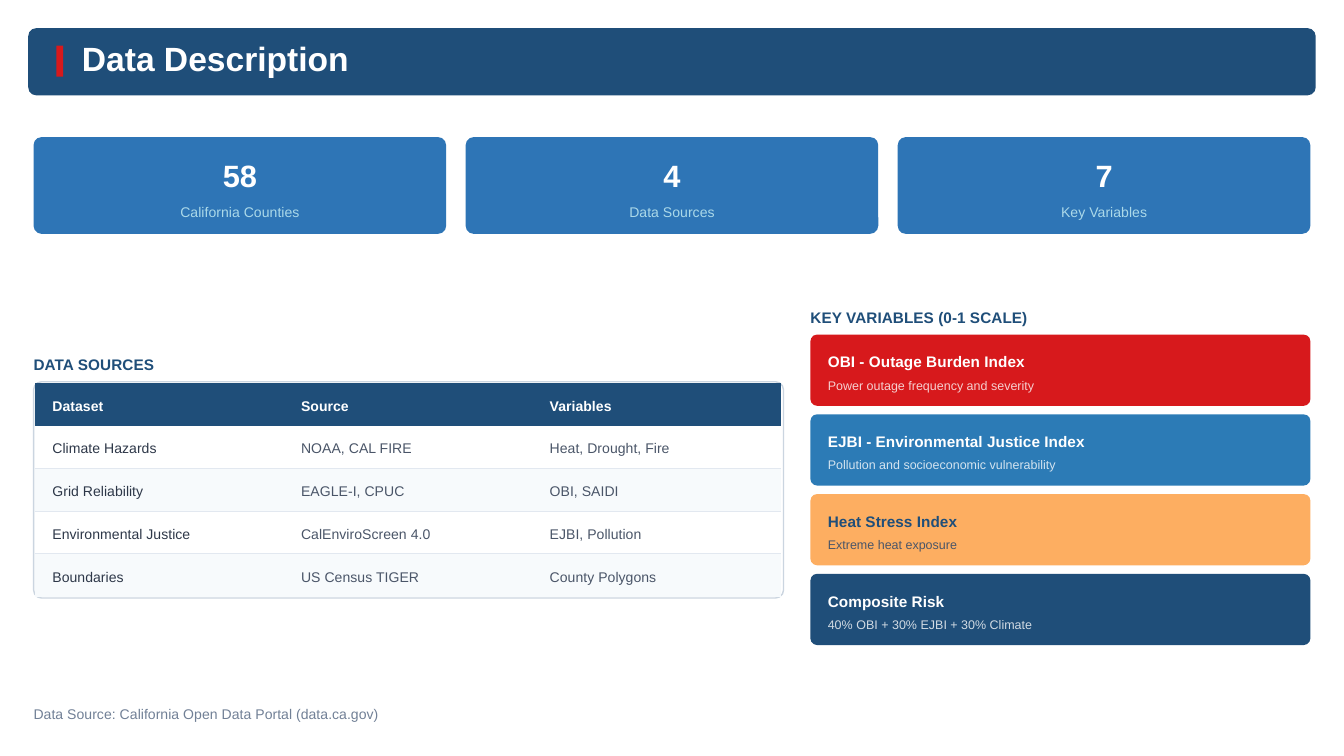
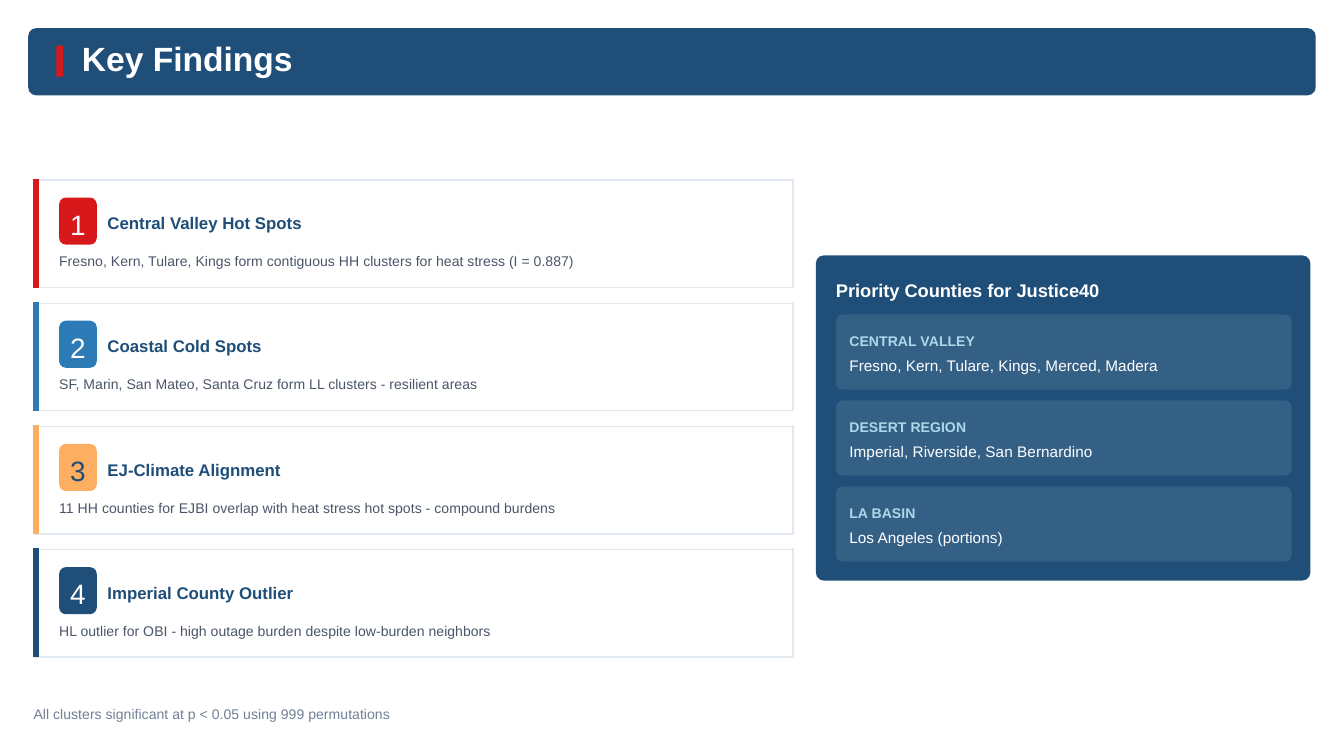
import pptx
import pptx.util
import pptx.dml.color
import pptx.enum.shapes
import pptx.enum.text
import pptx.oxml
import pptx.oxml.ns

Inches = pptx.util.Inches
Pt = pptx.util.Pt
SHAPES = pptx.enum.shapes.MSO_SHAPE
ALIGN = pptx.enum.text.PP_ALIGN

COLORS = {
    "navy": "1F4E79", "red": "D7191C", "blue": "2C7BB6", "stat": "2E75B6",
    "orange": "FDAE61", "pale": "ABD9E9", "white": "FFFFFF", "stripe": "F7FAFC",
    "frame": "CBD5E0", "rule": "E2E8F0", "ink": "2D3748", "body": "4A5568",
    "muted": "718096",
}

# Per style: font settings, then paragraph settings
STYLES = {
    "title": ({"size": Pt(18), "bold": True}, {"line_spacing": Pt(18)}),
    "number": ({"size": Pt(16.5), "bold": True},
               {"line_spacing": Pt(23.1), "alignment": ALIGN.CENTER}),
    "caption": ({"size": Pt(7.5)}, {"line_spacing": Pt(10.5), "space_before": Pt(3),
                                    "alignment": ALIGN.CENTER}),
    "heading": ({"size": Pt(8.25), "bold": True}, {"line_spacing": Pt(11.55)}),
    "detail": ({"size": Pt(6.75)}, {"line_spacing": Pt(9.45), "space_before": Pt(2.25)}),
    "small": ({"size": Pt(7.5)}, {"line_spacing": Pt(10.5)}),
    "small bold": ({"size": Pt(7.5), "bold": True}, {"line_spacing": Pt(10.5)}),
    "badge": ({"size": Pt(15)}, {"line_spacing": Pt(21), "alignment": ALIGN.CENTER}),
    "finding": ({"size": Pt(9), "bold": True}, {"line_spacing": Pt(12.6)}),
    "panel": ({"size": Pt(9.75), "bold": True},
              {"line_spacing": Pt(13.65), "space_after": Pt(7.5)}),
    "counties": ({"size": Pt(8.25)}, {"line_spacing": Pt(11.55)}),
}

STATS = [("58", "California Counties"), ("4", "Data Sources"), ("7", "Key Variables")]
DATASETS = [
    ("Dataset", "Source", "Variables"),
    ("Climate Hazards", "NOAA, CAL FIRE", "Heat, Drought, Fire"),
    ("Grid Reliability", "EAGLE-I, CPUC", "OBI, SAIDI"),
    ("Environmental Justice", "CalEnviroScreen 4.0", "EJBI, Pollution"),
    ("Boundaries", "US Census TIGER", "County Polygons"),
]
VARIABLES = [
    ("OBI - Outage Burden Index", "Power outage frequency and severity", "red"),
    ("EJBI - Environmental Justice Index",
     "Pollution and socioeconomic vulnerability", "blue"),
    ("Heat Stress Index", "Extreme heat exposure", "orange"),
    ("Composite Risk", "40% OBI + 30% EJBI + 30% Climate", "navy"),
]
FINDINGS = [
    ("Central Valley Hot Spots",
     "Fresno, Kern, Tulare, Kings form contiguous HH clusters for heat stress (I = 0.887)",
     "red"),
    ("Coastal Cold Spots",
     "SF, Marin, San Mateo, Santa Cruz form LL clusters - resilient areas", "blue"),
    ("EJ-Climate Alignment",
     "11 HH counties for EJBI overlap with heat stress hot spots - compound burdens",
     "orange"),
    ("Imperial County Outlier",
     "HL outlier for OBI - high outage burden despite low-burden neighbors", "navy"),
]
REGIONS = [
    ("CENTRAL VALLEY", "Fresno, Kern, Tulare, Kings, Merced, Madera"),
    ("DESERT REGION", "Imperial, Riverside, San Bernardino"),
    ("LA BASIN", "Los Angeles (portions)"),
]


def rgb(color):
    return pptx.dml.color.RGBColor.from_string(COLORS[color])


def set_all(target, values):
    for name, value in values.items():
        setattr(target, name, value)


def spread(first, last, items):
    """Pair each item with its place, evenly stepped from first to last."""
    step = (last - first) / (len(items) - 1)
    return [(first + step * index, item) for index, item in enumerate(items)]


def fade(element, opacity):
    """Make every colour inside the element opacity percent opaque."""
    for color in element.iter(pptx.oxml.ns.qn("a:srgbClr")):
        alpha = color.makeelement(pptx.oxml.ns.qn("a:alpha"), {"val": str(opacity * 1000)})
        color.append(alpha)


def write(frame, text, style, color, opacity=100):
    font_values, para_values = STYLES[style]
    para = frame.paragraphs[0]
    set_all(para, para_values)
    span = para.add_run()
    span.text = text
    set_all(span.font, {"name": "Arial", **font_values})
    span.font.color.rgb = rgb(color)
    if opacity < 100:
        fade(span._r, opacity)


def add_text(page, left, top, width, height, text, style, color, opacity=100):
    box = page.shapes.add_textbox(Inches(left), Inches(top), Inches(width), Inches(height))
    set_all(box.text_frame, {"margin_left": 0, "margin_top": 0, "margin_right": 0,
                             "margin_bottom": 0, "word_wrap": False})
    write(box.text_frame, text, style, color, opacity)


def add_block(page, left, top, width, height, fill=None, radius=0.0, line=None, opacity=100):
    """Add a rectangle; a radius in inches rounds its corners."""
    kind = SHAPES.ROUNDED_RECTANGLE if radius else SHAPES.RECTANGLE
    block = page.shapes.add_shape(kind, Inches(left), Inches(top), Inches(width), Inches(height))
    block.shadow.inherit = False
    if radius:
        block.adjustments[0] = radius / min(width, height)
    if fill:
        block.fill.solid()
        block.fill.fore_color.rgb = rgb(fill)
    else:
        block.fill.background()
    if opacity < 100:
        fade(block._element.spPr, opacity)
    if line:
        block.line.color.rgb = rgb(line)
        block.line.width = Pt(0.75)
    else:
        block.line.fill.background()


def add_line(page, x1, y1, x2, y2, color, width=0.75):
    line = page.shapes.add_connector(pptx.enum.shapes.MSO_CONNECTOR.STRAIGHT,
                                     Inches(x1), Inches(y1), Inches(x2), Inches(y2))
    line.line.color.rgb = rgb(color)
    line.line.width = Pt(width)
    properties = line._element.spPr
    properties.append(properties.makeelement(pptx.oxml.ns.qn("a:effectLst"), {}))


def add_page(deck, title, title_width, footer, footer_width):
    page = deck.slides.add_slide(deck.slide_layouts[6])
    page.background.fill.solid()
    page.background.fill.fore_color.rgb = rgb("white")
    add_block(page, 0.21, 0.21, 9.58, 0.5, "navy", 0.06)
    add_block(page, 0.42, 0.34, 0.05, 0.23, "red")
    add_text(page, 0.61, 0.33, title_width, 0.25, title, "title", "white")
    add_text(page, 0.25, 5.23, footer_width, 0.15, footer, "small", "muted")
    return page


def add_stat(page, left, number, caption):
    add_block(page, left, 1.02, 3.07, 0.72, "stat", 0.06)
    add_text(page, left + 0.14, 1.12, 2.79, 0.32, number, "number", "white")
    add_text(page, left + 0.14, 1.49, 2.79, 0.15, caption, "caption", "pale")


def set_borders(cell, ruled_sides):
    """Rule the given sides of the cell and clear the others."""
    properties = cell._tc.get_or_add_tcPr()
    for index, side in enumerate(("lnL", "lnR", "lnT", "lnB")):
        paint = "<a:noFill/>"
        if side in ruled_sides:
            paint = f'<a:solidFill><a:srgbClr val="{COLORS["rule"]}"/></a:solidFill>'
        border = pptx.oxml.parse_xml(
            f'<a:{side} {pptx.oxml.ns.nsdecls("a")} w="{Pt(0.75)}">{paint}</a:{side}>')
        properties.insert(index, border)


def add_dataset_table(page):
    add_block(page, 0.25, 2.84, 5.58, 1.61, radius=0.06, line="frame")
    row_total, column_total = len(DATASETS), len(DATASETS[0])
    table = page.shapes.add_table(row_total, column_total, Inches(0.26), Inches(2.85),
                                  Inches(5.55), Inches(1.59)).table
    set_all(table, {"first_row": False, "horz_banding": False})
    for row_index, values in enumerate(DATASETS):
        header = row_index == 0
        fill = "navy" if header else ("white" if row_index % 2 else "stripe")
        ruled_sides = [side for side, ruled in (("lnT", row_index > 1),
                                                ("lnB", 0 < row_index < row_total - 1)) if ruled]
        for column_index, value in enumerate(values):
            cell = table.cell(row_index, column_index)
            set_all(cell, {"margin_left": Inches(0.13), "margin_right": 0, "margin_top": 0,
                           "margin_bottom": 0,
                           "vertical_anchor": pptx.enum.text.MSO_ANCHOR.MIDDLE})
            cell.fill.solid()
            cell.fill.fore_color.rgb = rgb(fill)
            set_borders(cell, ruled_sides)
            color = "white" if header else ("body" if column_index else "ink")
            write(cell.text_frame, value, "small bold" if header else "small", color)


def add_variable(page, top, name, detail, fill):
    on_light = fill == "orange"
    add_block(page, 6.03, top, 3.72, 0.53, fill, 0.05)
    add_text(page, 6.16, top + 0.11, 3.54, 0.16, name, "heading",
             "navy" if on_light else "white")
    add_text(page, 6.16, top + 0.3, 3.54, 0.13, detail, "detail",
             "body" if on_light else "white", 100 if on_light else 80)


def add_finding(page, top, number, name, detail, accent):
    left, right, bottom = 0.25, 5.91, top + 0.81
    add_block(page, left, top, right - left, bottom - top, "white", 0.06)
    add_line(page, left, top + 0.01, right, top + 0.01, "rule")
    add_line(page, right - 0.01, top, right - 0.01, bottom, "rule")
    add_line(page, left, bottom, right, bottom, "rule")
    add_line(page, left + 0.02, top, left + 0.02, bottom, accent, 3)
    add_block(page, 0.44, top + 0.14, 0.28, 0.35, accent, 0.05)
    add_text(page, 0.52, top + 0.17, 0.12, 0.29, str(number), "badge",
             "navy" if accent == "orange" else "white")
    add_text(page, 0.8, top + 0.23, 1.5, 0.17, name, "finding", "navy")
    add_text(page, 0.44, top + 0.53, 5.42, 0.15, detail, "small", "body")


def add_region(page, top, region, counties):
    add_block(page, 6.22, top, 3.39, 0.56, "white", 0.05, opacity=10)
    add_text(page, 6.32, top + 0.11, 3.24, 0.15, region, "small bold", "pale")
    add_text(page, 6.32, top + 0.29, 3.24, 0.16, counties, "counties", "white")


def build_data_page(deck):
    page = add_page(deck, "Data Description", 2.03,
                    "Data Source: California Open Data Portal (data.ca.gov)", 2.6)
    for left, stat in spread(0.25, 6.68, STATS):
        add_stat(page, left, *stat)
    add_text(page, 0.25, 2.62, 5.69, 0.16, "DATA SOURCES", "heading", "navy")
    add_dataset_table(page)
    add_text(page, 6.03, 2.27, 3.79, 0.16, "KEY VARIABLES (0-1 SCALE)", "heading", "navy")
    for top, variable in spread(2.49, 4.27, VARIABLES):
        add_variable(page, top, *variable)


def build_findings_page(deck):
    page = add_page(deck, "Key Findings", 1.6,
                    "All clusters significant at p < 0.05 using 999 permutations", 2.68)
    for number, (top, finding) in enumerate(spread(1.33, 4.08, FINDINGS), 1):
        add_finding(page, top, number, *finding)
    add_block(page, 6.07, 1.9, 3.68, 2.42, "navy", 0.06)
    add_text(page, 6.22, 2.05, 3.45, 0.19, "Priority Counties for Justice40", "panel", "white")
    for top, region in spread(2.34, 3.62, REGIONS):
        add_region(page, top, *region)


def main():
    deck = pptx.Presentation()
    set_all(deck, {"slide_width": Inches(10), "slide_height": Inches(10) * 9 // 16})
    build_data_page(deck)
    build_findings_page(deck)
    deck.save("out.pptx")


if __name__ == "__main__":
    main()
